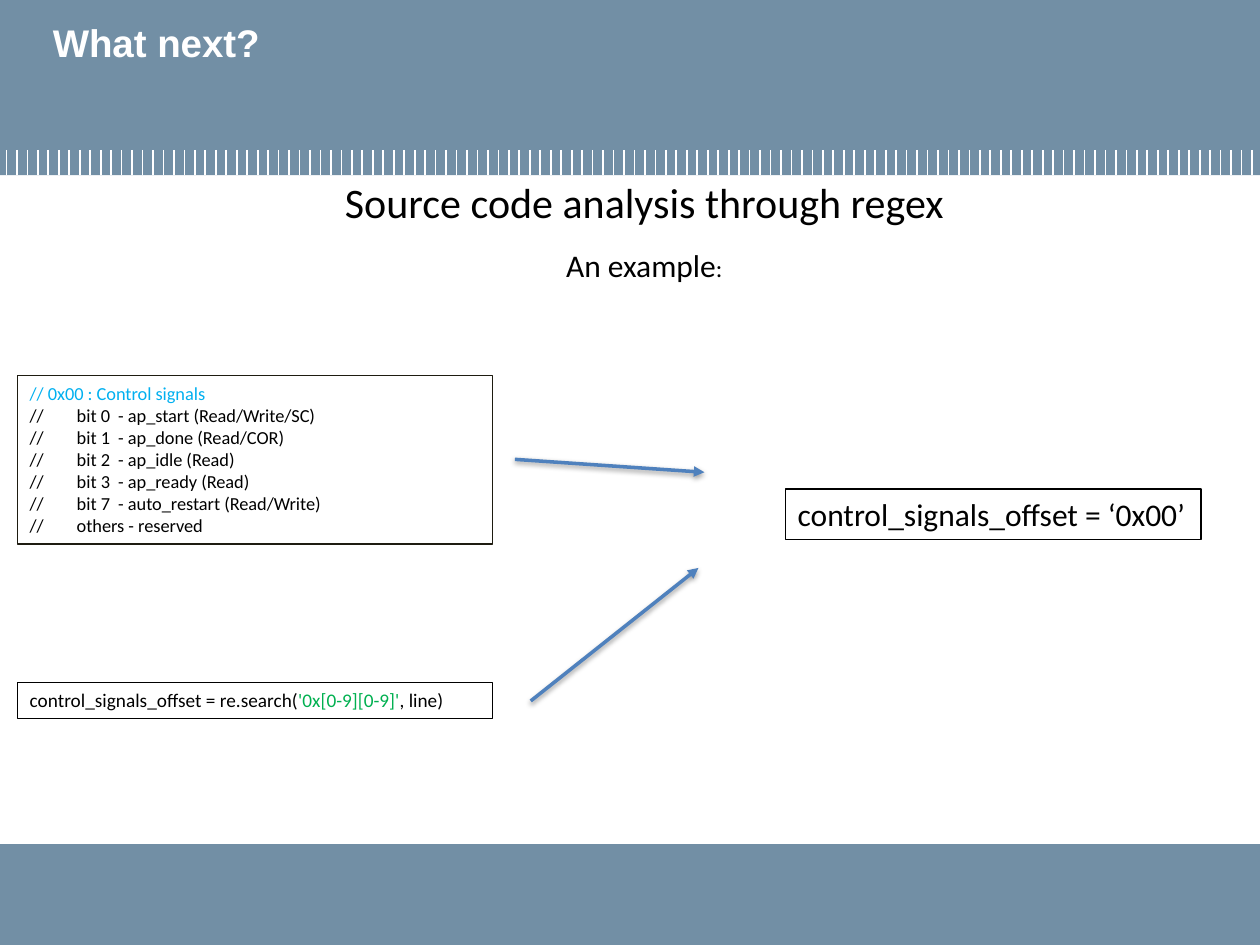
"""Build the slide on source code analysis through regex."""
from lxml.etree import SubElement
from pptx import Presentation
from pptx.dml.color import RGBColor
from pptx.enum.shapes import MSO_CONNECTOR as Link, MSO_SHAPE as Preset
from pptx.enum.text import MSO_ANCHOR as Anchor, MSO_AUTO_SIZE as Fit, PP_ALIGN as Align
from pptx.oxml.ns import qn
from pptx.util import Cm, Pt

COLORS = {
    "slate": "728FA5", "white": "FFFFFF", "black": "000000", "frame": "1E1C11",
    "comment": "00B0F0", "pattern": "00B050", "arrow": "4F81BD",
}
PAGE_WIDTH, PAGE_HEIGHT = 25.4, 19.05
HEADER_HEIGHT, FOOTER_TOP = 3.53, 17.02
TICK_COUNT, TICK_FIRST, TICK_LAST, TICK_TOP = 120, 0.13, 25.24, 3.02

TITLE = "What next?"
BANDS = [
    (0, 0, PAGE_WIDTH, HEADER_HEIGHT),
    (0, FOOTER_TOP, PAGE_WIDTH, PAGE_HEIGHT - FOOTER_TOP),
]
FOOTER_PANEL = (0.28, FOOTER_TOP, 10.62, 1.75)
HEADING = [
    [("Source code analysis through regex", 24, "black")],
    [("An example", 18, "black"), (":", 14, "black")],
]
HEADING_AREA = (1.98, 3.43, 20.75, 3.58)
REGISTER_LINES = [
    "//        bit 0  - ap_start (Read/Write/SC)",
    "//        bit 1  - ap_done (Read/COR)",
    "//        bit 2  - ap_idle (Read)",
    "//        bit 3  - ap_ready (Read)",
    "//        bit 7  - auto_restart (Read/Write)",
    "//        others - reserved",
]
SOURCE_CODE = [[("// 0x00 : Control signals", 10.5, "comment")]] + [
    [(line, 10.5, "black")] for line in REGISTER_LINES
]
SEARCH_CODE = [[
    ("control_signals_offset = re.search(", 11, "black"),
    ("'0x[0-9][0-9]'", 11, "pattern"),
    (", line)", 11, "black"),
]]
RESULT = [[("control_signals_offset = ‘0x00’", 18, "black")]]
CODE_BOXES = [
    (SOURCE_CODE, (0.35, 7.57, 9.58, 3.4), "frame"),
    (SEARCH_CODE, (0.35, 13.76, 9.58, 0.73), "black"),
    (RESULT, (15.83, 9.86, 8.38, 1.02), "black"),
]
ARROWS = [(10.38, 9.26, 14.2, 9.52), (10.7, 14.13, 14.08, 11.45)]


def color(name):
    return RGBColor.from_string(COLORS[name])


def add_band(page, area):
    band = page.shapes.add_shape(Preset.RECTANGLE, *map(Cm, area))
    band.shadow.inherit = False
    band.fill.solid()
    band.fill.fore_color.rgb = color("slate")
    band.line.fill.background()


def add_line(shapes, ends, name, width):
    line = shapes.add_connector(Link.STRAIGHT, *map(Cm, ends))
    line.line.color.rgb = color(name)
    line.line.width = Pt(width)
    effects = SubElement(line.element.spPr, qn("a:effectLst"))
    return line, effects


def add_arrow(page, ends):
    arrow, effects = add_line(page.shapes, ends, "arrow", 2)
    outline = arrow.element.spPr.find(qn("a:ln"))
    SubElement(outline, qn("a:tailEnd"), type="triangle")
    shadow = SubElement(effects, qn("a:outerShdw"), blurRad=str(Pt(3.1)),
                        dist=str(Pt(1.6)), dir="5400000", rotWithShape="0")
    shade = SubElement(shadow, qn("a:srgbClr"), val=COLORS["black"])
    SubElement(shade, qn("a:alpha"), val="38000")


def add_text(page, lines, area):
    box = page.shapes.add_textbox(*map(Cm, area))
    frame = box.text_frame
    frame.word_wrap = True
    frame.auto_size = Fit.SHAPE_TO_FIT_TEXT
    for index, pieces in enumerate(lines):
        para = frame.add_paragraph() if index else frame.paragraphs[0]
        for text, size, name in pieces:
            span = para.add_run()
            span.text = text
            span.font.name = "Calibri"
            span.font.size = Pt(size)
            span.font.color.rgb = color(name)
    return box


def add_title(page):
    title = page.shapes.title
    title.left, title.top, title.width, title.height = map(Cm, (0.81, 0.25, 23.83, 2.34))
    frame = title.text_frame
    frame.text = TITLE
    frame.vertical_anchor = Anchor.TOP
    para = frame.paragraphs[0]
    para.alignment = Align.LEFT
    font = para.runs[0].font
    font.name, font.size, font.bold = "Arial", Pt(22), True
    font.color.rgb = color("white")
    page.shapes.element.append(title.element)


def main():
    deck = Presentation()
    deck.slide_width, deck.slide_height = Cm(PAGE_WIDTH), Cm(PAGE_HEIGHT)
    page = deck.slides.add_slide(deck.slide_layouts.get_by_name("Title Only"))

    for area in BANDS:
        add_band(page, area)
    ticks = page.shapes.add_group_shape()
    pitch = (TICK_LAST - TICK_FIRST) / (TICK_COUNT - 1)
    for index in range(TICK_COUNT):
        left = TICK_FIRST + index * pitch
        add_line(ticks.shapes, (left, TICK_TOP, left, HEADER_HEIGHT), "white", 1)

    add_title(page)
    heading = add_text(page, HEADING, HEADING_AREA).text_frame
    heading.margin_left = Cm(1.52)
    for para in heading.paragraphs:
        para.alignment = Align.CENTER
    heading.paragraphs[1].space_before = Pt(11)

    for lines, area, border in CODE_BOXES:
        box = add_text(page, lines, area)
        box.line.color.rgb = color(border)
        box.line.width = Pt(0.75)
    for ends in ARROWS:
        add_arrow(page, ends)
    add_band(page, FOOTER_PANEL)
    deck.save("out.pptx")


if __name__ == "__main__":
    main()
